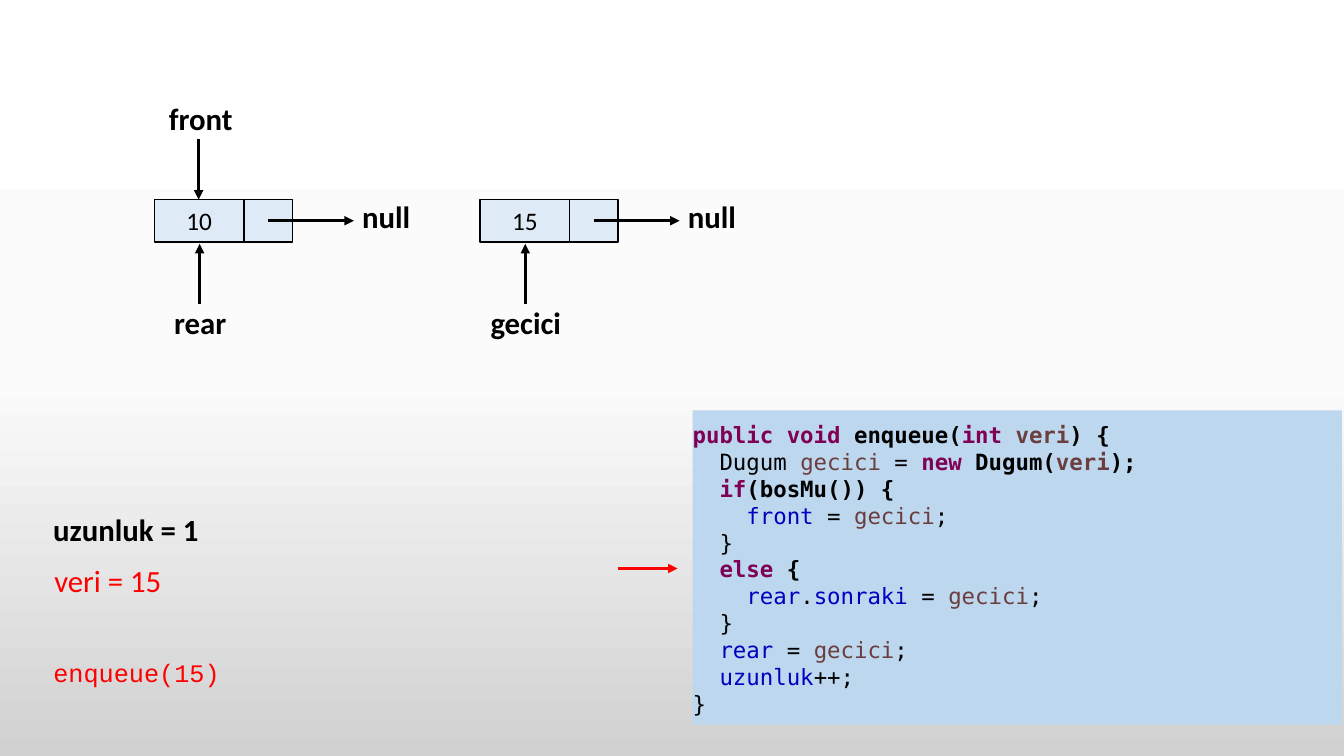
from copy import deepcopy

from pptx import Presentation
from pptx.dml.color import RGBColor
from pptx.enum.shapes import MSO_CONNECTOR, MSO_SHAPE
from pptx.enum.text import MSO_ANCHOR, MSO_AUTO_SIZE, PP_ALIGN
from pptx.oxml.ns import qn
from pptx.oxml.xmlchemy import OxmlElement
from pptx.util import Pt

PX = 9144
LEFT, CENTER = PP_ALIGN.LEFT, PP_ALIGN.CENTER
MIDDLE, BOTTOM = MSO_ANCHOR.MIDDLE, MSO_ANCHOR.BOTTOM
RECTANGLE, STRAIGHT = MSO_SHAPE.RECTANGLE, MSO_CONNECTOR.STRAIGHT
FIT_SHAPE = MSO_AUTO_SIZE.SHAPE_TO_FIT_TEXT

BLACK = RGBColor(0x00, 0x00, 0x00)
RED = RGBColor(0xFF, 0x00, 0x00)
NODE_BLUE = RGBColor(0xDE, 0xEB, 0xF7)
CODE_BLUE = RGBColor(0xBD, 0xD7, 0xEE)
KEYWORD = RGBColor(0x7F, 0x00, 0x55)
VARIABLE = RGBColor(0x6A, 0x3E, 0x3E)
FIELD = RGBColor(0x00, 0x00, 0xC0)
BACKGROUND = [
    (0, RGBColor(0xFF, 0xFF, 0xFF)),
    (0.5, RGBColor(0xFB, 0xFB, 0xFB)),
    (1, RGBColor(0xD1, 0xD1, 0xD1)),
]

deck = Presentation()
deck.slide_width, deck.slide_height = 1333 * PX, 750 * PX
page = deck.slides.add_slide(deck.slide_layouts[6])

backdrop = page.background.fill
backdrop.gradient()
backdrop.gradient_angle = 270
stop_list = page.element.find(".//" + qn("a:gsLst"))
stop_list.append(deepcopy(stop_list[0]))
for stop, (position, color) in zip(backdrop.gradient_stops, BACKGROUND):
    stop.position = position
    stop.color.rgb = color


def add_span(para, text, **font_values):
    span = para.add_run()
    span.text = text
    span.font.color.rgb = font_values.pop("color")
    for name, value in font_values.items():
        setattr(span.font, name, value)


def add_rectangle(left, top, width, height, fill):
    box = page.shapes.add_shape(RECTANGLE, left * PX, top * PX, width * PX, height * PX)
    box.shadow.inherit = False
    box.fill.solid()
    box.fill.fore_color.rgb = fill
    return box


labels = [
    (157, 94, 84, 47, "front", CENTER, BLACK, "Calibri", 22, True),
    (162, 296, 73, 47, "rear", CENTER, BLACK, "Calibri", 22, True),
    (476, 296, 91, 47, "gecici", CENTER, BLACK, "Calibri", 22, True),
    (43, 502, 166, 47, "uzunluk = 1", LEFT, BLACK, "Calibri", 22, True),
    (44, 552, 132, 47, "veri = 15", LEFT, RED, "Calibri", 22, False),
    (43, 647, 188, 40, "enqueue(15)", LEFT, RED, "Courier New", 18, False),
]
arrows = [
    (197, 138, 197, 198, BLACK),
    (613, 564, 672, 564, RED),
]

for left, value in [(153, "10"), (476, "15")]:
    for offset, width, text in [(0, 89, value), (89, 48, "")]:
        cell = add_rectangle(left + offset, 198, width, 42, NODE_BLUE)
        cell.line.color.rgb = BLACK
        cell.line.width = Pt(1)
        if text:
            cell.text_frame.vertical_anchor = MIDDLE
            para = cell.text_frame.paragraphs[0]
            para.alignment = CENTER
            add_span(para, text, name="Calibri", size=Pt(18), color=BLACK)
    arrows.append((left + 113, 219, left + 198, 219, BLACK))
    arrows.append((left + 45, 302, left + 45, 242, BLACK))
    labels.append((left + 196, 191, 68, 47, "null", CENTER, BLACK, "Calibri", 22, True))

for *ends, color in arrows:
    arrow = page.shapes.add_connector(STRAIGHT, *[end * PX for end in ends])
    arrow.line.color.rgb = color
    arrow.line.width = Pt(2.25)
    head = OxmlElement("a:tailEnd")
    head.set("type", "triangle")
    arrow.line._get_or_add_ln().append(head)
    arrow._element.spPr.append(OxmlElement("a:effectLst"))

for left, top, width, height, text, alignment, color, font, size, bold in labels:
    label = page.shapes.add_textbox(left * PX, top * PX, width * PX, height * PX)
    label.text_frame.word_wrap = False
    label.text_frame.auto_size = FIT_SHAPE
    para = label.text_frame.paragraphs[0]
    para.alignment = alignment
    add_span(para, text, name=font, size=Pt(size), bold=bold, color=color)

code_lines = [
    [("public void ", KEYWORD, True), ("enqueue(", BLACK, True), ("int ", KEYWORD, True),
     ("veri", VARIABLE, True), (") {", BLACK, True)],
    [("  Dugum ", BLACK, False), ("gecici", VARIABLE, False), (" = ", BLACK, False),
     ("new ", KEYWORD, True), ("Dugum(", BLACK, True), ("veri", VARIABLE, True),
     (");", BLACK, True)],
    [("  if", KEYWORD, True), ("(bosMu()) {", BLACK, True)],
    [("    front ", FIELD, False), ("= ", BLACK, False), ("gecici", VARIABLE, False),
     (";", BLACK, False)],
    [("  }", BLACK, False)],
    [("  else ", KEYWORD, True), ("{", BLACK, True)],
    [("    rear", FIELD, False), (".", BLACK, False), ("sonraki ", FIELD, False),
     ("= ", BLACK, False), ("gecici", VARIABLE, False), (";", BLACK, False)],
    [("  }", BLACK, False)],
    [("  rear ", FIELD, False), ("= ", BLACK, False), ("gecici", VARIABLE, False),
     (";", BLACK, False)],
    [("  uzunluk", FIELD, False), ("++;", BLACK, False)],
    [("}", BLACK, False)],
]
code_box = add_rectangle(687, 407, 644, 312, CODE_BLUE)
code_box.line.fill.background()
frame_format = {
    "margin_left": 0, "margin_right": 0, "margin_top": 8 * PX, "margin_bottom": 8 * PX,
    "vertical_anchor": BOTTOM, "word_wrap": True, "auto_size": FIT_SHAPE,
}
for name, value in frame_format.items():
    setattr(code_box.text_frame, name, value)
for number, spans in enumerate(code_lines):
    frame = code_box.text_frame
    para = frame.add_paragraph() if number else frame.paragraphs[0]
    para.alignment = LEFT
    for text, color, bold in spans:
        add_span(para, text, name="DejaVu Sans Mono", size=Pt(16), bold=bold, color=color)

deck.save("out.pptx")
